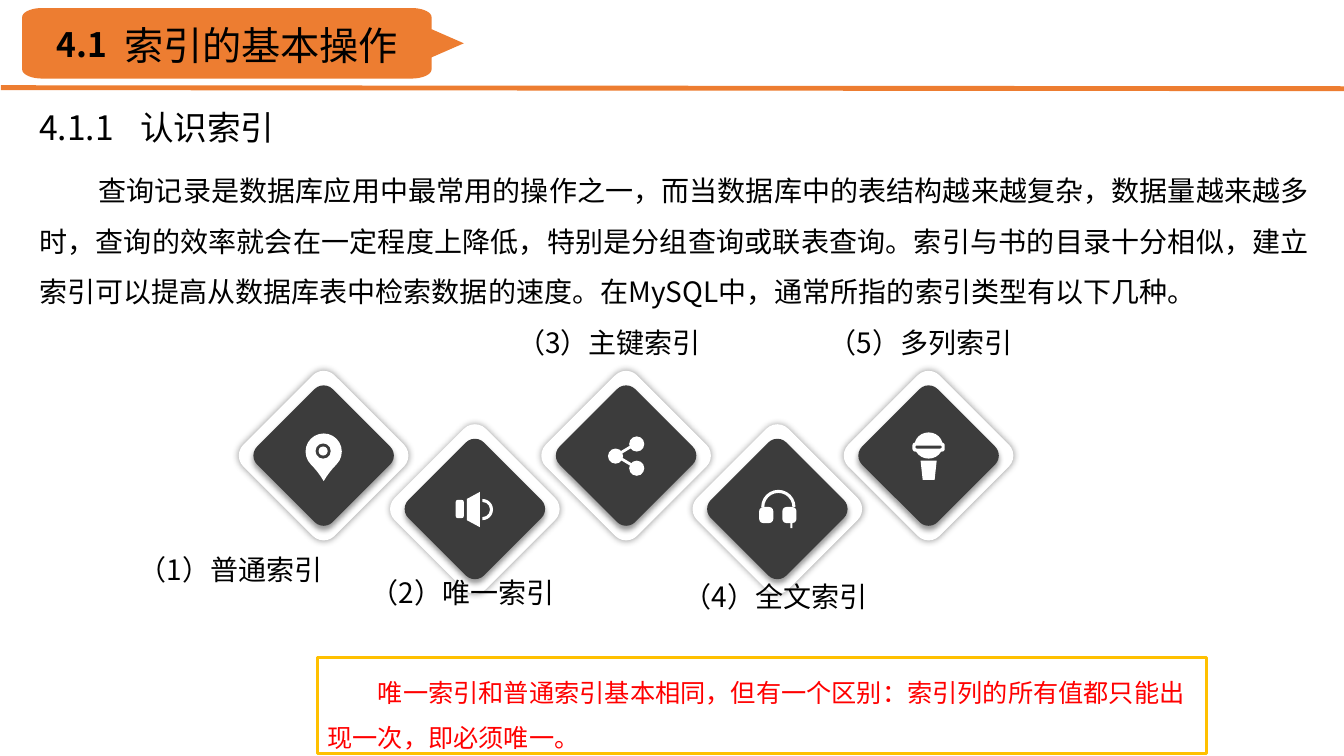
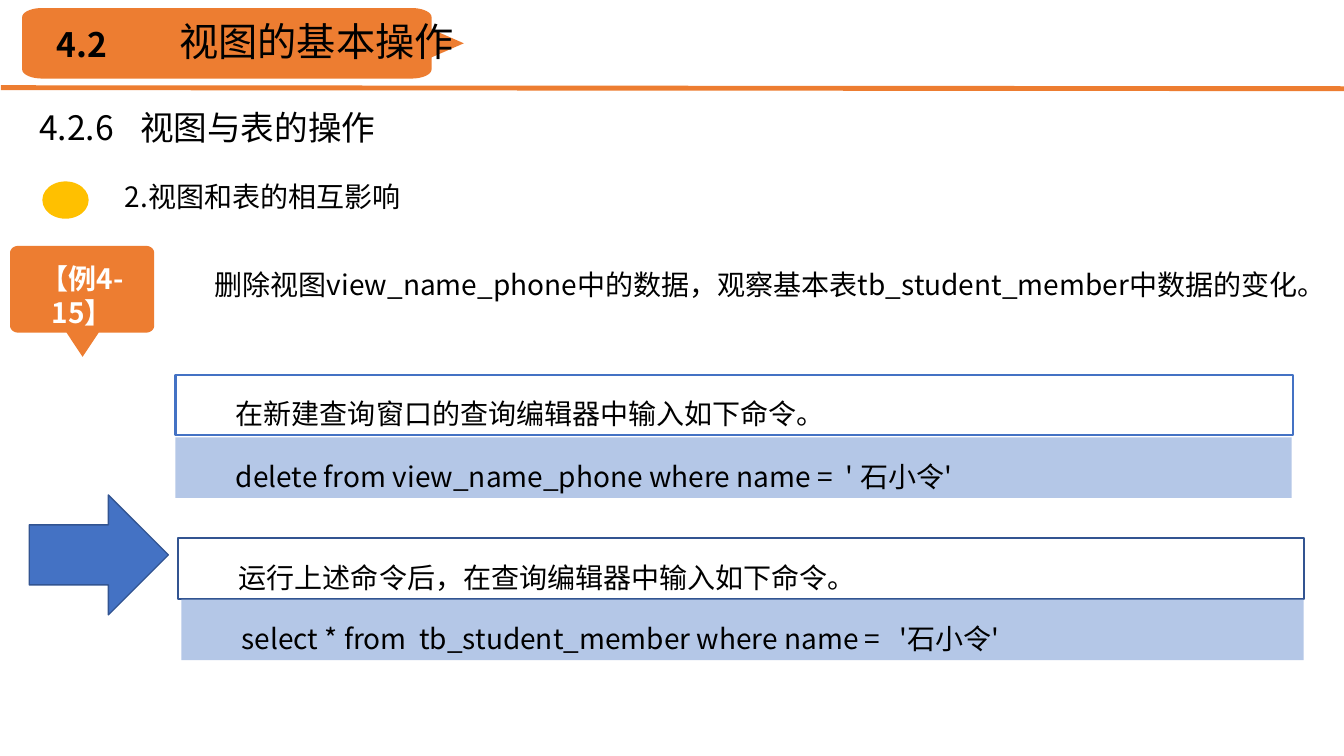
from math import cos, radians, sin

from lxml.etree import SubElement
from pptx import Presentation
from pptx.dml.color import RGBColor
from pptx.enum.shapes import MSO_CONNECTOR, MSO_SHAPE as SHAPE
from pptx.enum.text import MSO_ANCHOR as ANCHOR, MSO_AUTO_SIZE, PP_ALIGN as ALIGN
from pptx.oxml.ns import qn
from pptx.util import Inches, Pt

FONT = "Noto Sans CJK SC"
BLACK = RGBColor(0x00, 0x00, 0x00)
WHITE = RGBColor(0xFF, 0xFF, 0xFF)
RED = RGBColor(0xFF, 0x00, 0x00)
ORANGE = RGBColor(0xED, 0x7D, 0x31)
GOLD = RGBColor(0xFF, 0xC0, 0x00)
CHARCOAL = RGBColor(0x3C, 0x3C, 0x3C)
BLUE = RGBColor(0x44, 0x72, 0xC4)
NAVY = RGBColor(0x32, 0x54, 0x91)
PALE_BLUE = RGBColor(0xB4, 0xC7, 0xE7)

PIN = [
    (SHAPE.TEAR, -0.18, -0.22, 0.36, 0.36, WHITE, [1.15], 135),
    (SHAPE.OVAL, -0.08, -0.12, 0.15, 0.15, CHARCOAL, [], 0),
    (SHAPE.OVAL, -0.05, -0.09, 0.09, 0.09, WHITE, [], 0),
]
SPEAKER = [
    (SHAPE.ROUNDED_RECTANGLE, -0.19, -0.09, 0.08, 0.18, WHITE, [0.25], 0),
    (SHAPE.TRAPEZOID, -0.19, -0.06, 0.35, 0.13, WHITE, [0.54], 270),
    (SHAPE.BLOCK_ARC, -0.03, -0.1, 0.21, 0.21, WHITE, [162, 54, 0.14], 0),
]
SHARE = [
    (SHAPE.OVAL, x, y, 0.15, 0.15, WHITE, [], 0)
    for x, y in [(-0.18, -0.07), (0.03, -0.19), (0.03, 0.05)]
]
HEADPHONES = [
    (SHAPE.BLOCK_ARC, -0.16, -0.19, 0.34, 0.34, WHITE, [108, 0, 0.09], 0),
    (SHAPE.ROUNDED_RECTANGLE, -0.18, -0.02, 0.14, 0.16, WHITE, [0.3], 0),
    (SHAPE.ROUNDED_RECTANGLE, 0.05, -0.02, 0.14, 0.16, WHITE, [0.3], 0),
    (SHAPE.RECTANGLE, 0.13, 0.13, 0.02, 0.06, WHITE, [], 0),
]
MICROPHONE = [
    (SHAPE.OVAL, -0.14, -0.23, 0.28, 0.26, WHITE, [], 0),
    (SHAPE.ROUNDED_RECTANGLE, -0.16, -0.13, 0.32, 0.09, WHITE, [0.3], 0),
    (SHAPE.ROUNDED_RECTANGLE, -0.13, -0.1, 0.26, 0.03, CHARCOAL, [0.5], 0),
    (SHAPE.TRAPEZOID, -0.08, 0.05, 0.16, 0.19, WHITE, [0.13], 180),
]
SHARE_LINKS = [(-0.1, 0, 0.1, -0.12), (-0.1, 0, 0.1, 0.12)]
INDEX_TYPES = [
    ("（1）普通索引", 1.28, 5.43, PIN, []),
    ("（2）唯一索引", 3.58, 5.66, SPEAKER, []),
    ("（3）主键索引", 5.03, 3.18, SHARE, SHARE_LINKS),
    ("（4）全文索引", 6.68, 5.7, HEADPHONES, []),
    ("（5）多列索引", 8.12, 3.18, MICROPHONE, []),
]


class Deck:
    """Holds the shared style and the slide being built."""

    def __init__(self):
        self.prs = Presentation()
        self.prs.slide_width = Inches(13.33)
        self.prs.slide_height = Inches(7.5)
        self.shapes = None

    def slide(self, number, title, title_left, title_top, section, section_tab):
        page = self.prs.slides.add_slide(self.prs.slide_layouts[5])
        self.shapes = page.shapes
        self.line(0.01, 0.87, 13.36, 0.88, ORANGE, 3.5)
        self.callout(0.22, 0.08, 4.06, 0.7, 0.2, 0.09, 0,
                     [(4.28, 0.29), (4.6, 0.43), (4.28, 0.57)])
        self.text(number, 0.46, 0.19, 0.95, 0.5, 24, bold=True)
        heading = page.shapes.title
        heading.element.getparent().append(heading.element)
        heading.left, heading.top = Inches(title_left), Inches(title_top)
        heading.width, heading.height = Inches(4.92), Inches(0.57)
        self.set_text(heading, title, 28)
        self.text(section, 0.29, 1.01, 4.92, 0.5, 24, tab=section_tab)

    def set_text(self, shape, text, size, color=BLACK, bold=False, align=ALIGN.LEFT,
                 indent=0, spacing=1, tab=None, anchor=ANCHOR.TOP):
        frame = shape.text_frame
        frame.auto_size = MSO_AUTO_SIZE.NONE
        frame.word_wrap = True
        frame.vertical_anchor = anchor
        frame.text = text
        paragraph = frame.paragraphs[0]
        paragraph.alignment = align
        paragraph.line_spacing = Pt(size * 1.2 * spacing)
        props = paragraph._p.get_or_add_pPr()
        props.set("indent", str(Inches(indent)))
        if tab:
            stops = SubElement(props, qn("a:tabLst"))
            SubElement(stops, qn("a:tab"), pos=str(Inches(tab)), algn="l")
        font = paragraph.font
        font.name, font.size, font.bold = FONT, Pt(size), bold
        font.color.rgb = color
        SubElement(props.find(qn("a:defRPr")), qn("a:ea"), typeface=FONT)

    def text(self, text, left, top, width, height, size=20, **style):
        box = self.shapes.add_textbox(
            Inches(left), Inches(top), Inches(width), Inches(height))
        self.set_text(box, text, size, **style)

    def paint(self, shape, fill=None, line=None, weight=1):
        shape.shadow.inherit = False
        if fill is None:
            shape.fill.background()
        else:
            shape.fill.solid()
            shape.fill.fore_color.rgb = fill
        if line is None:
            shape.line.fill.background()
        else:
            shape.line.color.rgb = line
            shape.line.width = Pt(weight)

    def shape(self, kind, left, top, width, height, fill=None, adjust=(),
              rotation=0, line=None, weight=1):
        shape = self.shapes.add_shape(
            kind, Inches(left), Inches(top), Inches(width), Inches(height))
        for index, value in enumerate(adjust):
            shape.adjustments[index] = value
        shape.rotation = rotation
        self.paint(shape, fill, line, weight)
        return shape

    def panel(self, text, left, top, width, height=0.6, size=20, color=BLACK,
              align=ALIGN.LEFT, **look):
        box = self.shape(SHAPE.RECTANGLE, left, top, width, height, **look)
        self.set_text(box, text, size, color, align=align, indent=0.5, spacing=1.5)

    def line(self, x1, y1, x2, y2, color, weight):
        rule = self.shapes.add_connector(
            MSO_CONNECTOR.STRAIGHT, Inches(x1), Inches(y1), Inches(x2), Inches(y2))
        rule.line.color.rgb = color
        rule.line.width = Pt(weight)
        SubElement(rule.element.spPr, qn("a:effectLst"))

    def callout(self, left, top, width, height, rx, ry, side, pointer):
        right, bottom = left + width - rx, top + height - ry
        corners = [(right, top + ry), (right, bottom),
                   (left + rx, bottom), (left + rx, top + ry)]
        outline = []
        for index, (x, y) in enumerate(corners):
            for step in range(0, 91, 10):
                angle = radians(index * 90 - 90 + step)
                outline.append((x + rx * cos(angle), y + ry * sin(angle)))
            if index == side:
                outline += pointer
        points = [(Inches(x), Inches(y)) for x, y in outline]
        builder = self.shapes.build_freeform(*points[0])
        builder.add_line_segments(points[1:])
        bubble = builder.convert_to_shape()
        self.paint(bubble, ORANGE)
        return bubble

    def shadow(self, shape, blur, distance, direction):
        effects = shape.element.spPr.find(qn("a:effectLst"))
        outer = SubElement(
            effects, qn("a:outerShdw"), blurRad=str(Pt(blur)), dist=str(Pt(distance)),
            dir=str(direction * 60000), algn="ctr", rotWithShape="0")
        color = SubElement(outer, qn("a:srgbClr"), val=str(BLACK))
        SubElement(color, qn("a:alpha"), val="40000")

    def tile(self, x, y, icon, links):
        page_shapes = self.shapes
        self.shapes = page_shapes.add_group_shape().shapes
        for side, fill, shadow in [(1.28, WHITE, (5, 0, 0)), (1.06, CHARCOAL, (4, 3, 90))]:
            diamond = self.shape(SHAPE.ROUNDED_RECTANGLE, x - side / 2, y - side / 2,
                                 side, side, fill, [0.12], 45)
            self.shadow(diamond, *shadow)
        for x1, y1, x2, y2 in links:
            self.line(x + x1, y + y1, x + x2, y + y2, WHITE, 2)
        for kind, dx, dy, *look in icon:
            self.shape(kind, x + dx, y + dy, *look)
        self.shapes = page_shapes


def index_slide(deck):
    deck.slide("4.1", "索引的基本操作", 1.13, 0.16, "4.1.1\t认识索引", 0.97)
    deck.text(
        "查询记录是数据库应用中最常用的操作之一，而当数据库中的表结构越来越复杂，"
        "数据量越来越多时，查询的效率就会在一定程度上降低，特别是分组查询或联表查询。"
        "索引与书的目录十分相似，建立索引可以提高从数据库表中检索数据的速度。"
        "在MySQL中，通常所指的索引类型有以下几种。",
        0.29, 1.51, 12.79, 1.56, align=ALIGN.JUSTIFY, indent=0.59, spacing=1.5)
    for position, (label, left, top, icon, links) in enumerate(INDEX_TYPES):
        deck.tile(3.21 + 1.5 * position, 4.52 + 0.53 * (position % 2), icon, links)
        deck.text(label, left, top, 2.2, 0.44)
    deck.panel(
        "唯一索引和普通索引基本相同，但有一个区别：索引列的所有值都只能出现一次，即必须唯一。",
        3.15, 6.52, 8.82, 0.96, 18, RED, line=GOLD, weight=2.25)


def view_slide(deck):
    deck.slide("4.2", "视图的基本操作", 1.68, 0.12, "4.2.6\t视图与表的操作", 1.05)
    deck.text("2.视图和表的相互影响", 1.14, 1.73, 4.56, 0.44)
    deck.shape(SHAPE.OVAL, 0.42, 1.8, 0.46, 0.37, GOLD)
    example = deck.callout(0.1, 2.44, 1.43, 0.86, 0.08, 0.07, 1,
                           [(0.98, 3.3), (0.82, 3.54), (0.66, 3.3)])
    deck.set_text(example, "【例4-15】", 20, WHITE, True, ALIGN.CENTER,
                  anchor=ANCHOR.MIDDLE)
    frame = example.text_frame
    frame.margin_left = frame.margin_right = frame.margin_top = 0
    frame.margin_bottom = Inches(0.12)
    deck.text(
        "删除视图view_name_phone中的数据，观察基本表tb_student_member中数据的变化。",
        1.53, 2.44, 11.49, 0.6, indent=0.5, spacing=1.5)
    deck.panel("在新建查询窗口的查询编辑器中输入如下命令。",
               1.74, 3.72, 11.08, line=BLUE, weight=1.5)
    deck.panel("delete from view_name_phone where name =  ' 石小令'",
               1.74, 4.34, 11.07, align=ALIGN.JUSTIFY, fill=PALE_BLUE)
    deck.panel("运行上述命令后，在查询编辑器中输入如下命令。",
               1.77, 5.34, 11.16, line=NAVY, weight=1.5)
    deck.shape(SHAPE.RIGHT_ARROW, 0.29, 4.91, 1.38, 1.19, BLUE, line=NAVY)
    deck.panel("select * from  tb_student_member where name =   '石小令'",
               1.8, 5.95, 11.13, align=ALIGN.JUSTIFY, fill=PALE_BLUE)


def main():
    deck = Deck()
    index_slide(deck)
    view_slide(deck)
    deck.prs.save("out.pptx")


if __name__ == "__main__":
    main()
